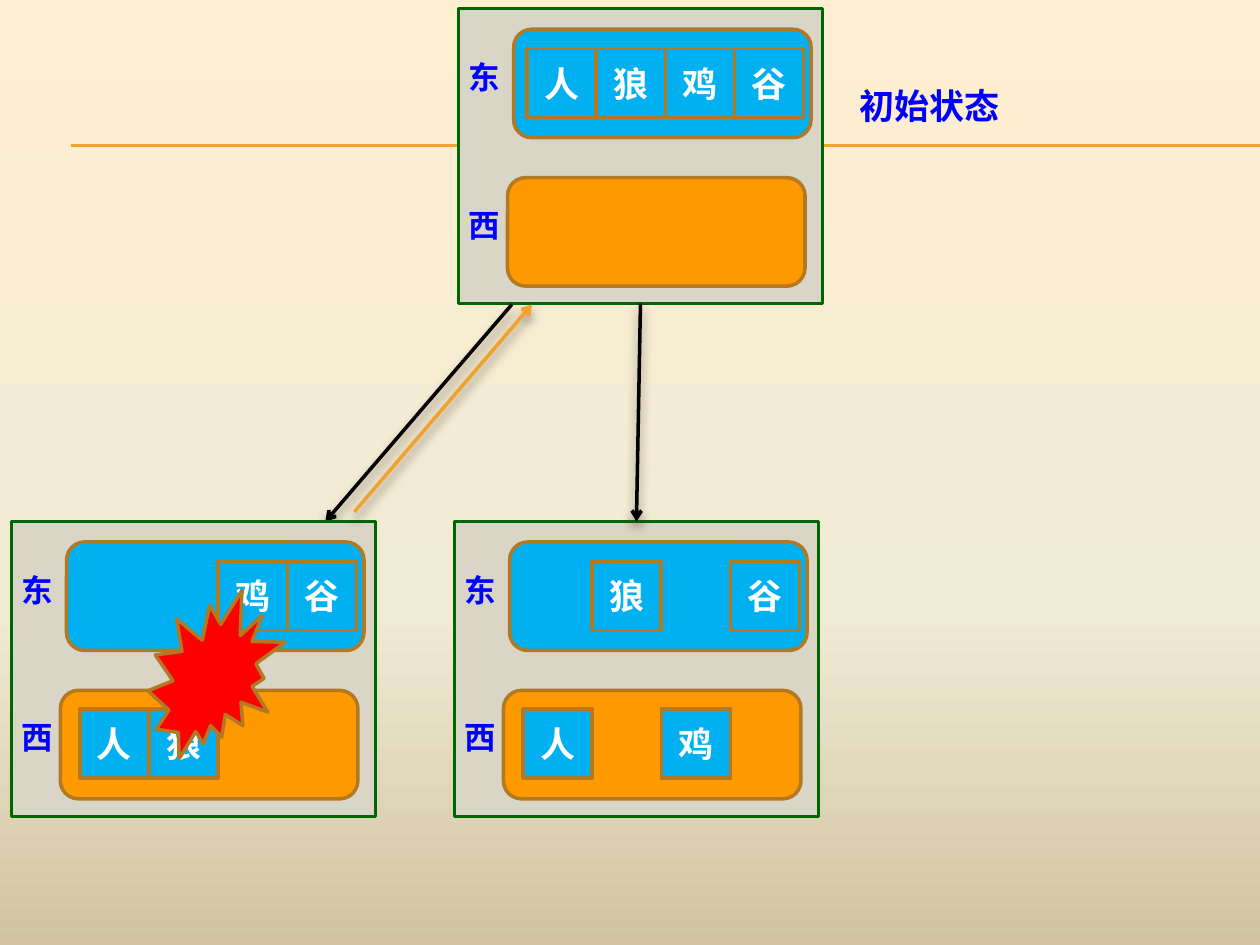
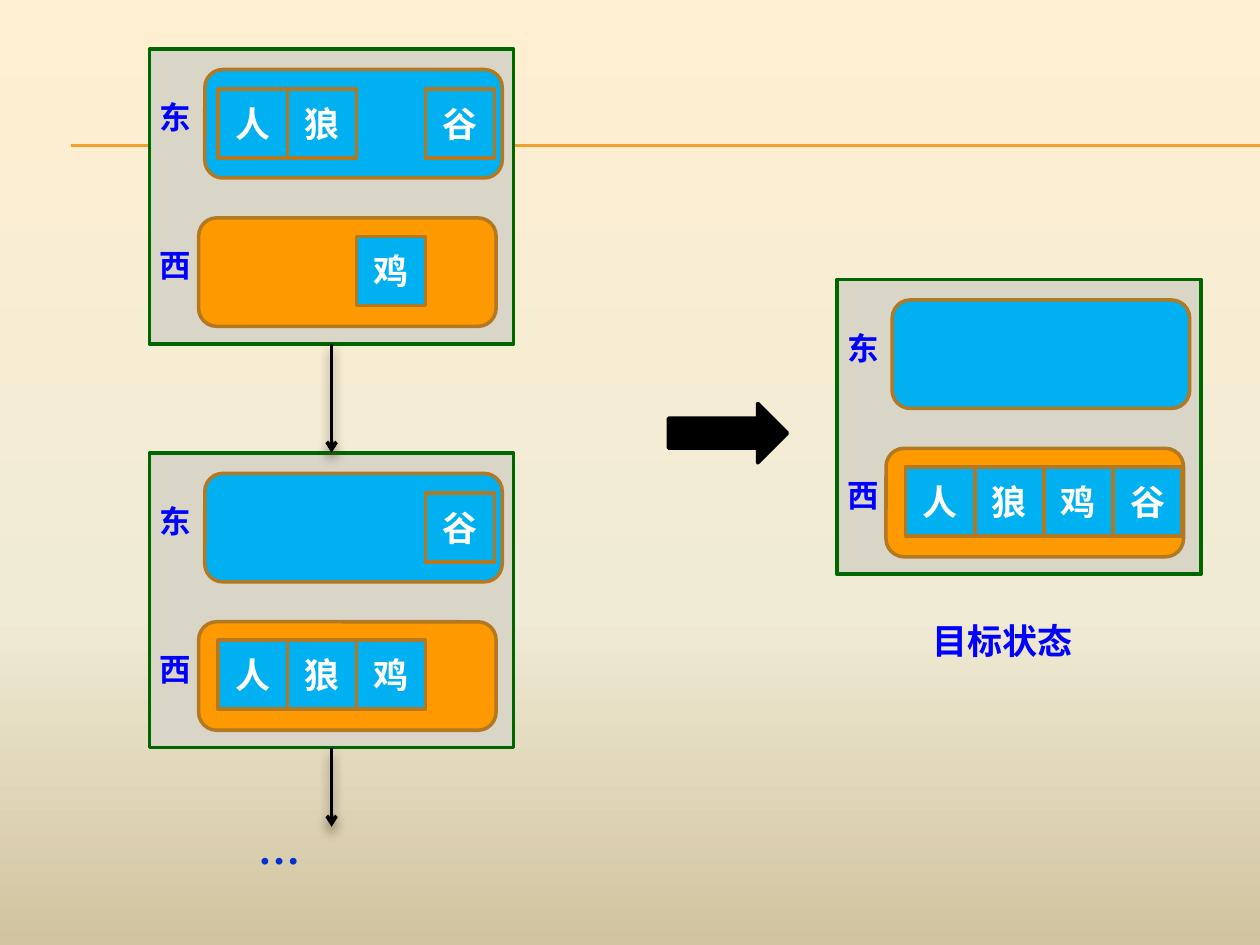
import copy
from typing import NamedTuple

import lxml.etree
import pptx
import pptx.dml.color
import pptx.enum.shapes
import pptx.enum.text
import pptx.oxml
import pptx.oxml.ns
import pptx.util

Pt = pptx.util.Pt
qn = pptx.oxml.ns.qn
SHAPE = pptx.enum.shapes.MSO_SHAPE

ORANGE, BROWN, BLACK, WHITE = "F0A22E", "B27822", "000000", "FFFFFF"
EAST_BLUE, WEST_ORANGE = "00B0F0", "FF9900"
PANEL_GREY, PANEL_GREEN, LABEL_BLUE = "D9D5C7", "006600", "0000FF"
CJK = "Noto Sans CJK SC"

ITEMS = "人狼鸡谷"
PANEL_W, PANEL_H = 208, 168.5
BANK_W, BANK_H = 170, 62
CELL = 39.5


class Bank(NamedTuple):
    """One river bank; offsets are from the panel's corner."""
    label: str
    color: str
    x: float
    y: float
    cell_y: float
    label_y: float


class State(NamedTuple):
    """A panel's corner and the items on each bank."""
    x: float
    y: float
    east: str
    west: str


class Caption(NamedTuple):
    text: str
    x: float
    y: float
    w: float
    h: float
    size: float
    color: str = LABEL_BLUE
    latin: str = CJK
    ea: str = CJK


EAST = Bank("东", EAST_BLUE, 31.5, 11.7, 22.8, 24.5)
WEST = Bank("西", WEST_ORANGE, 28, 96.5, 107, 109)


def rgb(color: str):
    return pptx.dml.color.RGBColor.from_string(color)


def set_text(sp, text: str, size: float, color: str, latin: str, ea: str) -> None:
    tf = sp.text_frame
    tf.word_wrap = True
    p = tf.paragraphs[0]
    p.add_run().text = text
    font = p.font
    font.size, font.bold, font.name = Pt(size), True, latin
    font.color.rgb = rgb(color)
    def_rpr = p._p.pPr.find(qn("a:defRPr"))
    lxml.etree.SubElement(def_rpr, qn("a:ea")).set("typeface", ea)


def add_box(shapes, kind, x: float, y: float, w: float, h: float,
            fill: str, line: str = BROWN):
    sp = shapes.add_shape(kind, Pt(x), Pt(y), Pt(w), Pt(h))
    sp.shadow.inherit = False
    sp.fill.solid()
    sp.fill.fore_color.rgb = rgb(fill)
    sp.line.color.rgb = rgb(line)
    sp.line.width = Pt(2)
    return sp


def add_caption(shapes, c: Caption) -> None:
    sp = shapes.add_textbox(Pt(c.x), Pt(c.y), Pt(c.w), Pt(c.h))
    set_text(sp, c.text, c.size, c.color, c.latin, c.ea)


def add_cell(shapes, item: str, x: float, y: float) -> None:
    sp = add_box(shapes, SHAPE.RECTANGLE, x, y, CELL, CELL, EAST_BLUE)
    sp.text_frame.vertical_anchor = pptx.enum.text.MSO_ANCHOR.MIDDLE
    sp.text_frame.paragraphs[0].alignment = pptx.enum.text.PP_ALIGN.CENTER
    set_text(sp, item, 20, WHITE, "Cabin", CJK)


def add_state(s, state: State):
    """Draw both banks as a group and return its frame; each item keeps its column."""
    shapes = s.shapes.add_group_shape().shapes
    frame = add_box(shapes, SHAPE.RECTANGLE, state.x, state.y, PANEL_W, PANEL_H,
                    PANEL_GREY, PANEL_GREEN)
    for bank, present in ((EAST, state.east), (WEST, state.west)):
        add_box(shapes, SHAPE.ROUNDED_RECTANGLE, state.x + bank.x, state.y + bank.y,
                BANK_W, BANK_H, bank.color)
        add_caption(shapes, Caption(bank.label, state.x - 1.2, state.y + bank.label_y,
                                    34, 29, 18))
        for column, item in enumerate(ITEMS):
            if item in present:
                add_cell(shapes, item, state.x + 39.2 + column * CELL,
                         state.y + bank.cell_y)
    return frame


def add_line(s, x1: float, y1: float, x2: float, y2: float, color: str, width: float):
    line = s.shapes.add_connector(pptx.enum.shapes.MSO_CONNECTOR.STRAIGHT,
                                  Pt(x1), Pt(y1), Pt(x2), Pt(y2))
    line.line.color.rgb = rgb(color)
    line.line.width = Pt(width)
    lxml.etree.SubElement(line._element.spPr, qn("a:effectLst"))
    return line


def add_arrow(s, x1: float, y1: float, x2: float, y2: float, color: str = BLACK):
    """Add a line with an open head at its end and a soft shadow below."""
    arrow = add_line(s, x1, y1, x2, y2, color, 2)
    sp_pr = arrow._element.spPr
    lxml.etree.SubElement(sp_pr.find(qn("a:ln")), qn("a:tailEnd")).set("type", "arrow")
    sp_pr.find(qn("a:effectLst")).append(pptx.oxml.parse_xml(
        f'<a:outerShdw {pptx.oxml.ns.nsdecls("a")} blurRad="{Pt(6)}" dist="{Pt(4)}" '
        'dir="5400000" rotWithShape="0"><a:srgbClr val="4E3B30">'
        '<a:alpha val="60000"/></a:srgbClr></a:outerShdw>'))
    return arrow


def set_background(master) -> None:
    fill = master.background.fill
    fill.gradient()
    fill.gradient_angle = 270
    gs_lst = next(master._element.iter(qn("a:gsLst")))
    gs_lst.append(copy.deepcopy(gs_lst[0]))
    stops = ((0, "FFEFD1"), (0.65, "F0EBD5"), (1, "D1C39F"))
    for stop, (position, color) in zip(fill.gradient_stops, stops):
        stop.position = position
        stop.color.rgb = rgb(color)


def add_master_rules(master, s) -> None:
    """Draw the double rule on a slide, then move it to the master."""
    for y in (82.8, 83.5):
        rule = add_line(s, 40.5, y, 720, y, ORANGE, 0.75)
        master.shapes._spTree.append(rule._element)


def build_first_moves(s) -> None:
    start = add_state(s, State(262, 5, ITEMS, ""))
    add_caption(s.shapes, Caption("初始状态", 484, 44.6, 101.5, 31.5, 20))
    add_arrow(s, 292.5, 174, 186, 298)
    add_state(s, State(6.5, 298, "鸡谷", "人狼"))
    safe = add_state(s, State(259.7, 298, "狼谷", "人鸡"))
    arrow = add_arrow(s, 366, 173.5, 363.7, 298)
    arrow.begin_connect(start, 2)
    arrow.end_connect(safe, 0)
    add_box(s.shapes, SHAPE.EXPLOSION2, 84.5, 337.5, 78.5, 96, "FF0000")
    add_arrow(s, 202.5, 292.5, 304, 174, ORANGE)


def build_goal(s) -> None:
    upper = add_state(s, State(85.5, 28, "人狼谷", "鸡"))
    lower = add_state(s, State(85.5, 258.8, "谷", "人狼鸡"))
    down = add_arrow(s, 189.5, 196.5, 189.5, 258.8)
    down.begin_connect(upper, 2)
    down.end_connect(lower, 0)
    onward = add_arrow(s, 189.5, 427.3, 189.5, 472.5)
    onward.begin_connect(lower, 2)
    add_caption(s.shapes, Caption("…", 140.4, 466.5, 62, 36, 24, "0033CC",
                                  "Times New Roman", "Times New Roman"))
    add_state(s, State(478.3, 159.7, "", ITEMS))
    add_caption(s.shapes, Caption("目标状态", 525.8, 350.6, 101.5, 31.5, 20))
    add_box(s.shapes, SHAPE.RIGHT_ARROW, 382, 230.5, 68, 34, BLACK, BLACK)


def main() -> None:
    prs = pptx.Presentation()
    prs.slide_width, prs.slide_height = Pt(720), Pt(540)
    blank = prs.slide_layouts[6]
    first, second = (prs.slides.add_slide(blank) for _ in range(2))
    set_background(prs.slide_master)
    add_master_rules(prs.slide_master, first)
    build_first_moves(first)
    build_goal(second)
    prs.save("out.pptx")


if __name__ == "__main__":
    main()
